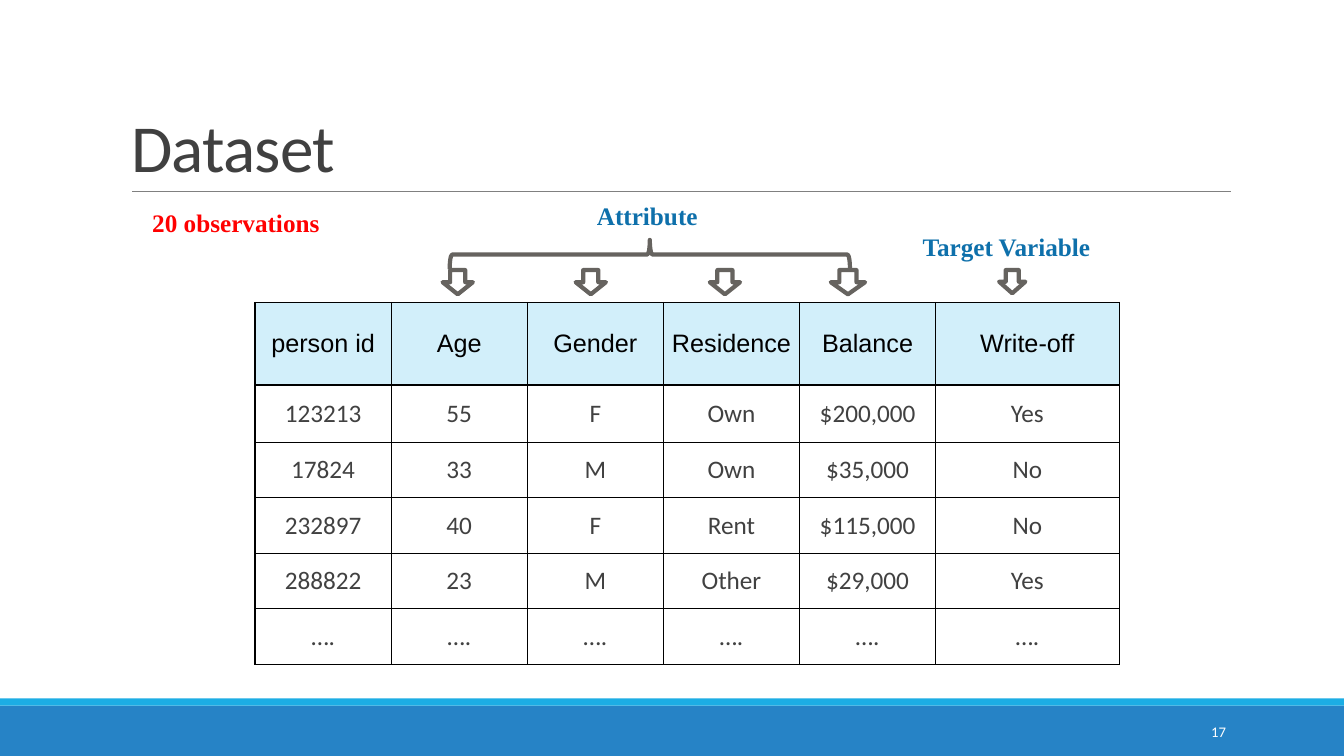
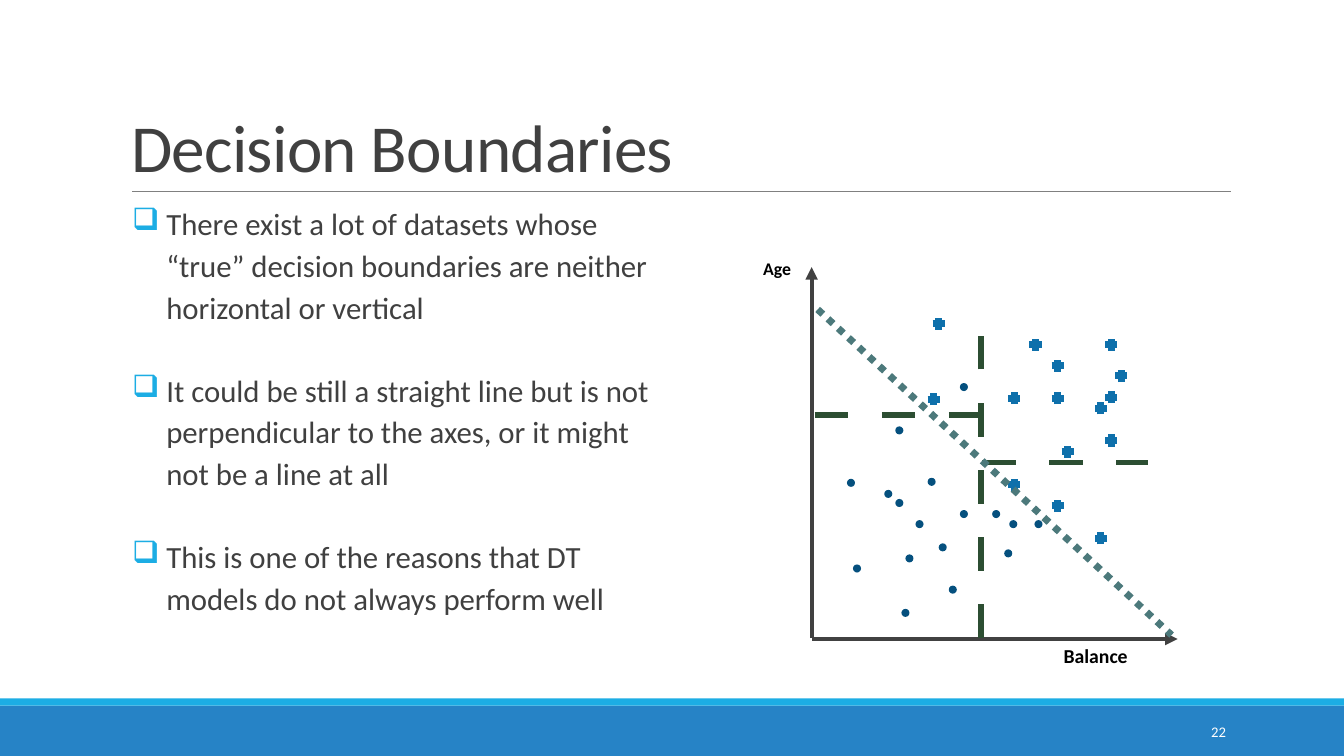
from lxml import etree
from pptx import Presentation
from pptx.dml.color import RGBColor
from pptx.enum.shapes import MSO_CONNECTOR, MSO_SHAPE
from pptx.enum.text import MSO_ANCHOR, MSO_AUTO_SIZE, PP_ALIGN
from pptx.oxml.ns import qn
from pptx.util import Inches, Pt

rgb = RGBColor.from_string
STRAIGHT = MSO_CONNECTOR.STRAIGHT
RECT, OVAL = MSO_SHAPE.RECTANGLE, MSO_SHAPE.OVAL
BRACE, DOWN_ARROW = MSO_SHAPE.LEFT_BRACE, MSO_SHAPE.DOWN_ARROW
TOP, MIDDLE, BOTTOM = MSO_ANCHOR.TOP, MSO_ANCHOR.MIDDLE, MSO_ANCHOR.BOTTOM
LEFT, CENTER, RIGHT = PP_ALIGN.LEFT, PP_ALIGN.CENTER, PP_ALIGN.RIGHT
NO_FIT = MSO_AUTO_SIZE.NONE

SANS, SERIF, HEAD = "Calibri", "Times New Roman", "Arial"
BLUE, CYAN, PALE = "2683C6", "1CADE4", "D2EFFA"
LABEL, DOT, RED = "0E70AB", "05507E", "FF0000"
INK, AXIS, GREY, RULE = "404040", "414141", "66635F", "808080"
GREEN, TEAL = "2C4E32", "4C797B"
BLACK, WHITE = "000000", "FFFFFF"


def add_text(slide, text, box, size, color, font=SANS, bold=True,
             align=LEFT, anchor=TOP):
    sp = slide.shapes.add_textbox(*[Inches(v) for v in box])
    tf = sp.text_frame
    tf.word_wrap = True
    tf.vertical_anchor = anchor
    tf.margin_left = tf.margin_right = Inches(0.04)
    tf.margin_top = tf.margin_bottom = Inches(0.04)
    p = tf.paragraphs[0]
    p.alignment = align
    r = p.add_run()
    r.text = text
    r.font.name, r.font.size, r.font.bold = font, Pt(size), bold
    r.font.color.rgb = rgb(color)


def add_line(slide, x1, y1, x2, y2, color, width, dash=0, arrow=False):
    cxn = slide.shapes.add_connector(
        STRAIGHT, Inches(x1), Inches(y1), Inches(x2), Inches(y2))
    cxn.line.color.rgb = rgb(color)
    cxn.line.width = Pt(width)
    spPr = cxn._element.spPr
    ln = spPr.find(qn("a:ln"))
    if dash:
        stops = etree.SubElement(ln, qn("a:custDash"))
        length = str(dash * 100000)
        etree.SubElement(stops, qn("a:ds"), d=length, sp=length)
    if arrow:
        etree.SubElement(ln, qn("a:tailEnd"), type="triangle")
    etree.SubElement(spPr, qn("a:effectLst"))


prs = Presentation()
prs.slide_width, prs.slide_height = Inches(13.33), Inches(7.5)

slides = []
for title, number in [("Dataset", "17"), ("Decision Boundaries", "22")]:
    s = prs.slides.add_slide(prs.slide_layouts[5])
    for top, height, color in [(7, 0.5, BLUE), (6.93, 0.07, CYAN)]:
        sp = s.shapes.add_shape(
            RECT, 0, Inches(top), prs.slide_width, Inches(height))
        sp.shadow.inherit = False
        sp.fill.solid()
        sp.fill.fore_color.rgb = rgb(color)
        sp.line.fill.background()
    add_line(s, 1.31, 1.9, 12.21, 1.9, RULE, 0.5)

    sp = s.shapes.title
    sp.left, sp.top = Inches(1.2), Inches(0.31)
    sp.width, sp.height = Inches(11), Inches(1.59)
    tf = sp.text_frame
    tf.auto_size = NO_FIT
    tf.vertical_anchor = BOTTOM
    p = tf.paragraphs[0]
    p.alignment = LEFT
    p.line_spacing = 0.85
    r = p.add_run()
    r.text = title
    r.font.name, r.font.size = SANS, Pt(48)
    r.font.color.rgb = rgb(INK)
    r._r.get_or_add_rPr().set("spc", "-50")

    add_text(s, number, (10.83, 7.06, 1.37, 0.4), 10.5, WHITE, bold=False,
             align=RIGHT, anchor=MIDDLE)
    slides.append(s)

dataset, boundaries = slides

rows = [
    ("person id", "Age", "Gender", "Residence", "Balance", "Write-off"),
    ("123213", "55", "F", "Own", "$200,000", "Yes"),
    ("17824", "33", "M", "Own", "$35,000", "No"),
    ("232897", "40", "F", "Rent", "$115,000", "No"),
    ("288822", "23", "M", "Other", "$29,000", "Yes"),
    ("….",) * 6,
]
col_widths = [1.35] * 5 + [1.82]
row_heights = [0.82, 0.57] + [0.55] * 4
table = dataset.shapes.add_table(
    len(rows), len(col_widths), Inches(2.53), Inches(3),
    Inches(sum(col_widths)), Inches(sum(row_heights))).table
table.first_row = table.horz_banding = False
for col, width in zip(table.columns, col_widths):
    col.width = Inches(width)
for row, height in zip(table.rows, row_heights):
    row.height = Inches(height)

for i, row in enumerate(rows):
    inset, font, color = (0.04, SANS, AXIS) if i else (0.01, HEAD, BLACK)
    for j, text in enumerate(row):
        cell = table.cell(i, j)
        cell.vertical_anchor = MIDDLE
        cell.margin_left = cell.margin_right = Inches(inset)
        cell.margin_top = cell.margin_bottom = Inches(inset)
        p = cell.text_frame.paragraphs[0]
        p.alignment = CENTER
        r = p.add_run()
        r.text = text
        r.font.name, r.font.size = font, Pt(18)
        r.font.color.rgb = rgb(color)
        tcPr = cell._tc.get_or_add_tcPr()
        for side in ("a:lnL", "a:lnR", "a:lnT", "a:lnB"):
            ln = etree.SubElement(tcPr, qn(side), w=str(Pt(1)))
            fill = etree.SubElement(ln, qn("a:solidFill"))
            etree.SubElement(fill, qn("a:srgbClr"), val=BLACK)
        if i:
            cell.fill.background()
        else:
            cell.fill.solid()
            cell.fill.fore_color.rgb = rgb(PALE)

markers = [
    (BRACE, 6.3, 0.54, 0.29, 3.97, 90),
    (DOWN_ARROW, 4.39, 2.68, 0.3, 0.24, 0),
    (DOWN_ARROW, 5.71, 2.68, 0.3, 0.24, 0),
    (DOWN_ARROW, 7.04, 2.68, 0.3, 0.24, 0),
    (DOWN_ARROW, 8.24, 2.68, 0.34, 0.24, 0),
    (DOWN_ARROW, 9.91, 2.68, 0.26, 0.23, 0),
]
for kind, left, top, width, height, angle in markers:
    sp = dataset.shapes.add_shape(
        kind, Inches(left), Inches(top), Inches(width), Inches(height))
    sp.rotation = angle
    sp.shadow.inherit = False
    sp.fill.background()
    sp.line.color.rgb = rgb(GREY)
    sp.line.width = Pt(3)

for text, box, color in [
    ("Attribute", (5.88, 1.95, 1.12, 0.38), LABEL),
    ("Target Variable", (9.11, 2.25, 1.83, 0.38), LABEL),
    ("20 observations", (1.47, 2.02, 1.8, 0.38), RED),
]:
    add_text(dataset, text, box, 18, color, SERIF)

dots = [
    (8.4, 4.75), (8.46, 5.6), (8.77, 4.86), (8.88, 4.95), (9.08, 5.16),
    (8.98, 5.5), (8.94, 6.04), (9.31, 5.39), (8.88, 4.23), (9.52, 3.8),
    (9.52, 5.06), (9.2, 4.74), (9.41, 5.81), (9.84, 5.06), (9.96, 5.45),
    (10.01, 5.16), (10.26, 5.16),
]
for x, y in dots:
    sp = boundaries.shapes.add_shape(
        OVAL, Inches(x), Inches(y), Inches(0.08), Inches(0.08))
    sp.shadow.inherit = False
    sp.fill.solid()
    sp.fill.fore_color.rgb = rgb(DOT)
    sp.line.fill.background()

pluses = [
    (10.06, 3.95), (10.27, 3.42), (10.49, 3.63), (10.49, 3.95),
    (11.02, 3.42), (11.12, 3.73), (11.02, 3.94), (10.59, 4.48),
    (9.26, 3.96), (9.31, 3.21), (10.92, 4.05), (11.02, 4.37),
    (10.06, 4.81), (10.49, 5.02), (10.92, 5.34),
]
arm = 0.06
for x, y in pluses:
    add_line(boundaries, x - arm, y, x + arm, y, LABEL, 5)
    add_line(boundaries, x, y + arm, x, y - arm, LABEL, 5)

add_line(boundaries, 8.05, 6.33, 8.05, 2.65, AXIS, 3, arrow=True)
add_line(boundaries, 8.05, 6.34, 11.68, 6.34, AXIS, 3, arrow=True)
add_text(boundaries, "Age", (7.53, 2.48, 0.4, 0.36), 12.7, BLACK,
         anchor=MIDDLE)
add_text(boundaries, "Balance", (10.51, 6.35, 0.75, 0.31), 14.1, BLACK,
         anchor=MIDDLE)

for x1, y1, x2, y2 in [(9.73, 6.33, 9.73, 3.09), (8.08, 4.12, 9.73, 4.12),
                       (9.74, 4.59, 11.39, 4.59)]:
    add_line(boundaries, x1, y1, x2, y2, GREEN, 4, dash=6)
add_line(boundaries, 8.11, 3.07, 11.62, 6.3, TEAL, 5, dash=1)

bullets = [
    "There exist a lot of datasets whose “true” decision boundaries are "
    "neither horizontal or vertical",
    "It could be still a straight line but is not perpendicular to the "
    "axes, or it might not be a line at all",
    "This is one of the reasons that DT models do not always perform well",
]
sp = boundaries.shapes.add_textbox(
    Inches(1.31), Inches(1.94), Inches(5.17), Inches(4.4))
tf = sp.text_frame
tf.word_wrap = True
tf.margin_left = tf.margin_right = 0
for i, text in enumerate(bullets):
    p = tf.add_paragraph() if i else tf.paragraphs[0]
    p.line_spacing = Pt(29.7)
    if i:
        p.space_before = Pt(29.7)
    pPr = p._p.get_or_add_pPr()
    pPr.set("marL", str(Inches(0.34)))
    pPr.set("indent", str(-Inches(0.34)))
    color = etree.SubElement(pPr, qn("a:buClr"))
    etree.SubElement(color, qn("a:srgbClr"), val=CYAN)
    etree.SubElement(pPr, qn("a:buChar"), char="❑")
    r = p.add_run()
    r.text = text
    r.font.name, r.font.size = SANS, Pt(22)
    r.font.color.rgb = rgb(INK)

prs.save("out.pptx")
